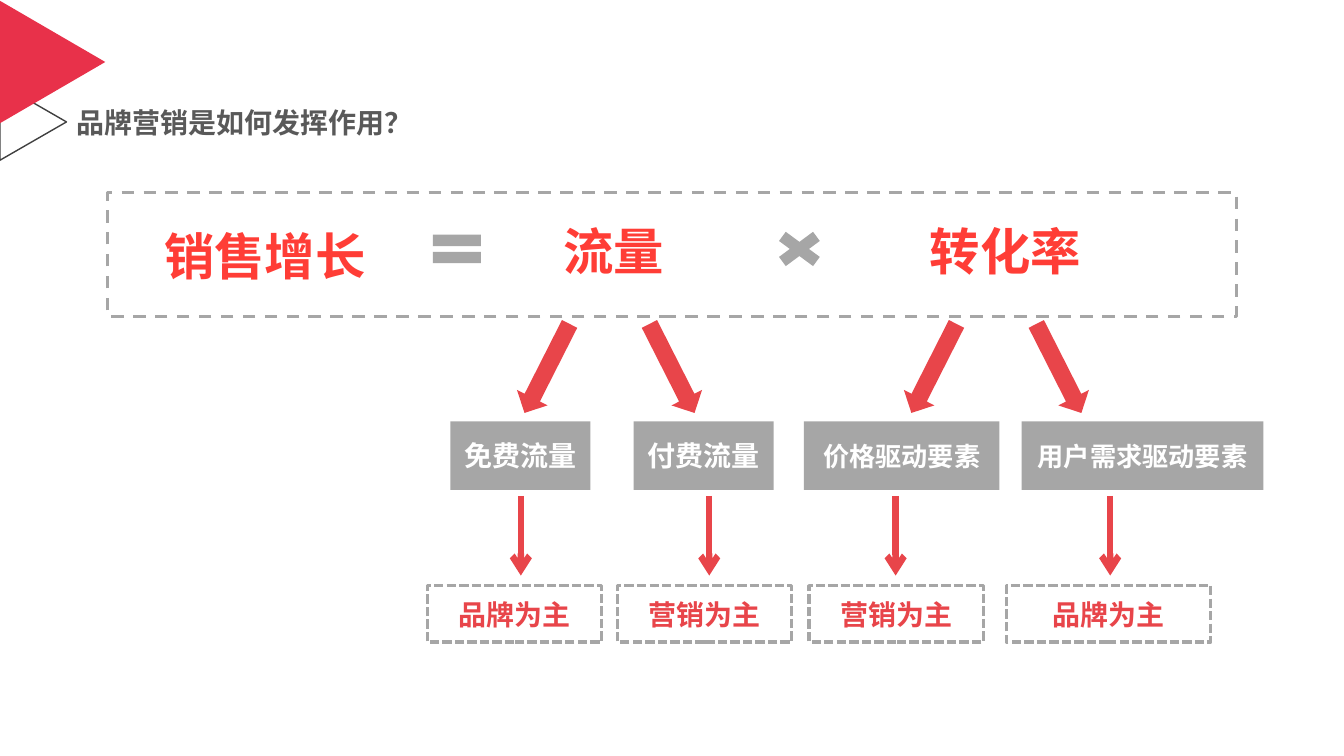
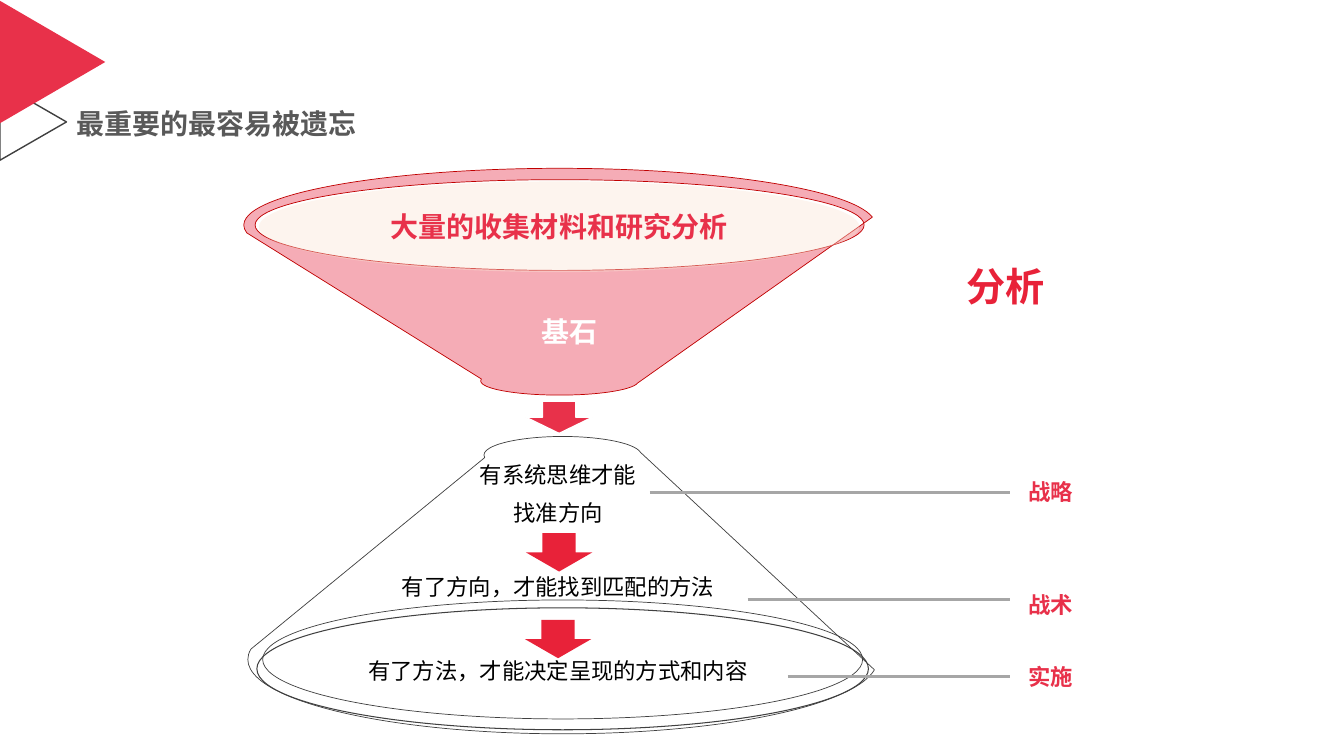
from dataclasses import dataclass

from lxml.etree import SubElement
from pptx import Presentation
from pptx.dml.color import RGBColor
from pptx.enum.dml import MSO_LINE
from pptx.enum.shapes import MSO_CONNECTOR, MSO_SHAPE
from pptx.enum.text import MSO_ANCHOR, MSO_AUTO_SIZE, PP_ALIGN
from pptx.oxml.ns import qn
from pptx.util import Inches, Pt


@dataclass(frozen=True)
class Theme:
    font: str = "Noto Sans CJK SC"
    brand: str = "E8314A"
    deep: str = "E82239"
    flow: str = "E8454A"
    formula: str = "FF3D36"
    rim: str = "C00000"
    cream: str = "FBE5D6"
    grey: str = "A6A6A6"
    dark: str = "404040"
    title: str = "595959"
    white: str = "FFFFFF"
    black: str = "000000"
    huge: float = 36
    large: float = 28
    normal: float = 20
    compact: float = 18.7
    small: float = 16


T = Theme()
SLIM = (0.1, 0.05)
ROOMY = (0.13, 0.07)

FORMULA_TITLE = "品牌营销是如何发挥作用？"
FORMULA_TERMS = [
    ("销售增长", 1.53, 2.18, 2.22),
    ("流量", 5.49, 2.13, 1.21),
    ("转化率", 9.13, 2.13, 1.72),
]
OPERATORS = [(MSO_SHAPE.MATH_EQUAL, 4.21), (MSO_SHAPE.MATH_MULTIPLY, 7.61)]
SPLITS = [5.26, 9.1]
SPLIT_GAP, SPLIT_ANGLE = 1.24, 26.9
DRIVERS = [
    ("免费流量", T.normal, 4.47, 1.39, 5.17, "品牌为主", 4.24, 1.73),
    ("付费流量", T.normal, 6.29, 1.39, 7.04, "营销为主", 6.13, 1.73),
    ("价格驱动要素", T.compact, 7.98, 1.94, 8.89, "营销为主", 8.03, 1.73),
    ("用户需求驱动要素", T.compact, 10.14, 2.4, 11.02, "品牌为主", 9.99, 2.03),
]

FUNNEL_TITLE = "最重要的最容易被遗忘"
STEPS = [
    ("有系统思维才能", 0),
    ("找准方向", 9.9),
    ("有了方向，才能找到匹配的方法", 35.7),
    ("有了方法，才能决定呈现的方式和内容", 42.8),
]
STEP_ARROWS = [(5.22, 5.29), (5.21, 6.15)]
LEVELS = [("战略", 6.45, 4.89, 4.67), ("战术", 7.42, 5.95, 5.79), ("实施", 7.82, 6.71, 6.51)]
LEVEL_LINE_END, LEVEL_LEFT = 10.03, 10.08


def rgb(value):
    return RGBColor.from_string(value)


def apply(target, values):
    for name, value in values.items():
        setattr(target, name, value)


def write(sp, lines, size, color, bold=True, align=PP_ALIGN.CENTER, spacing=None,
          inset=SLIM, **frame):
    tf = sp.text_frame
    x, y = map(Inches, inset)
    apply(tf, {"margin_left": x, "margin_right": x, "margin_top": y,
               "margin_bottom": y, "word_wrap": True, **frame})
    for i, (text, before) in enumerate(lines):
        p = tf.paragraphs[0] if i == 0 else tf.add_paragraph()
        apply(p, {"alignment": align, "space_before": Pt(before), "line_spacing": spacing})
        r = p.add_run()
        r.text = text
        apply(r.font, {"name": T.font, "size": Pt(size), "bold": bold})
        r.font.color.rgb = rgb(color)
        SubElement(r.font._element, qn("a:ea"), typeface=T.font)


def add_shape(s, kind, at, fill=None, line=None, alpha=None, rotation=0):
    sp = s.shapes.add_shape(kind, *map(Inches, at))
    sp.shadow.inherit = False
    sp.rotation = rotation
    if fill:
        sp.fill.solid()
        sp.fill.fore_color.rgb = rgb(fill)
        if alpha:
            color = sp.element.spPr.find(qn("a:solidFill"))[0]
            SubElement(color, qn("a:alpha"), val=str(alpha * 1000))
    else:
        sp.fill.background()
    if line:
        color, width, dash = line
        sp.line.color.rgb = rgb(color)
        apply(sp.line, {"width": Pt(width), "dash_style": dash})
    else:
        sp.line.fill.background()
    return sp


def add_box(s, text, at, size, color, fill=None, line=None, alpha=None, kind=MSO_SHAPE.RECTANGLE):
    sp = add_shape(s, kind, at, fill, line, alpha)
    write(sp, [(text, 0)], size, color, vertical_anchor=MSO_ANCHOR.MIDDLE)


def add_text(s, lines, at, size, color, **style):
    write(s.shapes.add_textbox(*map(Inches, at)), lines, size, color, **style)


def add_line(s, start, end, color, width, arrow=False):
    cx = s.shapes.add_connector(MSO_CONNECTOR.STRAIGHT, *map(Inches, start + end))
    cx.line.color.rgb = rgb(color)
    cx.line.width = Pt(width)
    if arrow:
        SubElement(cx.line._get_or_add_ln(), qn("a:tailEnd"), type="arrow")
    SubElement(cx.element.spPr, qn("a:effectLst"))


def decorate_layout(s):
    triangles = [
        add_shape(s, MSO_SHAPE.ISOSCELES_TRIANGLE, (-0.05, 0.88, 0.76, 0.66),
                  line=(T.dark, 1, None), rotation=90),
        add_shape(s, MSO_SHAPE.ISOSCELES_TRIANGLE, (-0.09, 0.09, 1.22, 1.05),
                  T.brand, rotation=90),
    ]
    for sp in triangles:
        s.slide_layout.shapes.element.append(sp.element)


def add_slide(prs, title, top, width):
    s = prs.slides.add_slide(prs.slide_layouts[5])
    sp = s.shapes.title
    apply(sp, {"left": Inches(0.71), "top": Inches(top),
               "width": Inches(width), "height": Inches(0.41)})
    write(sp, [(title, 0)], T.normal, T.title, align=PP_ALIGN.LEFT, spacing=0.9,
          inset=(0.05, 0.05), word_wrap=False, vertical_anchor=MSO_ANCHOR.MIDDLE,
          auto_size=MSO_AUTO_SIZE.SHAPE_TO_FIT_TEXT)
    return s


def build_formula(s):
    for text, left, top, width in FORMULA_TERMS:
        add_text(s, [(text, 0)], (left, top, width, 0.71), T.huge, T.formula,
                 align=PP_ALIGN.LEFT, word_wrap=False)
    for kind, left in OPERATORS:
        add_shape(s, kind, (left, 2.23, 0.65, 0.48), T.grey)
    add_shape(s, MSO_SHAPE.RECTANGLE, (1.07, 1.91, 11.2, 1.23),
              line=(T.grey, 2.25, MSO_LINE.DASH))
    for left in SPLITS:
        for x, angle in ((left, SPLIT_ANGLE), (left + SPLIT_GAP, -SPLIT_ANGLE)):
            add_shape(s, MSO_SHAPE.DOWN_ARROW, (x, 3.16, 0.34, 0.99), T.flow, rotation=angle)
    for driver, size, left, width, x, lead, lead_left, lead_width in DRIVERS:
        add_box(s, driver, (left, 4.18, width, 0.68), size, T.white, fill=T.grey)
        add_line(s, (x, 4.92), (x, 5.71), T.flow, 4.5, arrow=True)
        add_box(s, lead, (lead_left, 5.81, lead_width, 0.56), T.normal, T.flow,
                line=(T.grey, 2.25, MSO_LINE.SQUARE_DOT))


def build_funnel(s):
    add_text(s, STEPS, (1.54, 4.53, 8, 2.51), T.small, T.black, bold=False,
             spacing=0.9, inset=ROOMY)
    lower = add_shape(s, MSO_SHAPE.FUNNEL, (2.46, 4.33, 6.25, 2.95), line=(T.dark, 0.5, None))
    lower.element.spPr.find(qn("a:xfrm")).set("flipV", "1")
    add_shape(s, MSO_SHAPE.OVAL, (2.55, 6.03, 6.07, 1.21), line=(T.dark, 0.75, None))
    for left, top in STEP_ARROWS:
        add_shape(s, MSO_SHAPE.DOWN_ARROW, (left, top, 0.66, 0.38), T.deep)
    for text, start, y, top in LEVELS:
        add_line(s, (start, y), (LEVEL_LINE_END, y), T.grey, 2.25)
        add_text(s, [(text, 0)], (LEVEL_LEFT, top, 0.72, 0.4), T.small, T.brand,
                 align=PP_ALIGN.LEFT, inset=ROOMY, word_wrap=False)
    add_text(s, [("分析", 0)], (8.93, 2.53, 2.1, 0.61), T.large, T.deep, inset=ROOMY)
    add_shape(s, MSO_SHAPE.FUNNEL, (2.42, 1.67, 6.27, 2.25), T.brand, (T.rim, 0.5, None), 40)
    add_box(s, "大量的收集材料和研究分析", (2.57, 1.8, 5.96, 0.9), T.normal, T.brand,
            fill=T.cream, alpha=40, kind=MSO_SHAPE.OVAL)
    add_shape(s, MSO_SHAPE.DOWN_ARROW, (5.22, 3.98, 0.66, 0.32), T.brand, (T.white, 1, None))
    add_text(s, [("基石", 0)], (5.05, 3.07, 1.21, 0.44), T.normal, T.white)


def main():
    prs = Presentation()
    apply(prs, {"slide_width": Inches(13.34), "slide_height": Inches(7.5)})
    formula = add_slide(prs, FORMULA_TITLE, 1.03, 3.47)
    decorate_layout(formula)
    build_formula(formula)
    build_funnel(add_slide(prs, FUNNEL_TITLE, 1.04, 2.91))
    prs.save("out.pptx")


if __name__ == "__main__":
    main()
